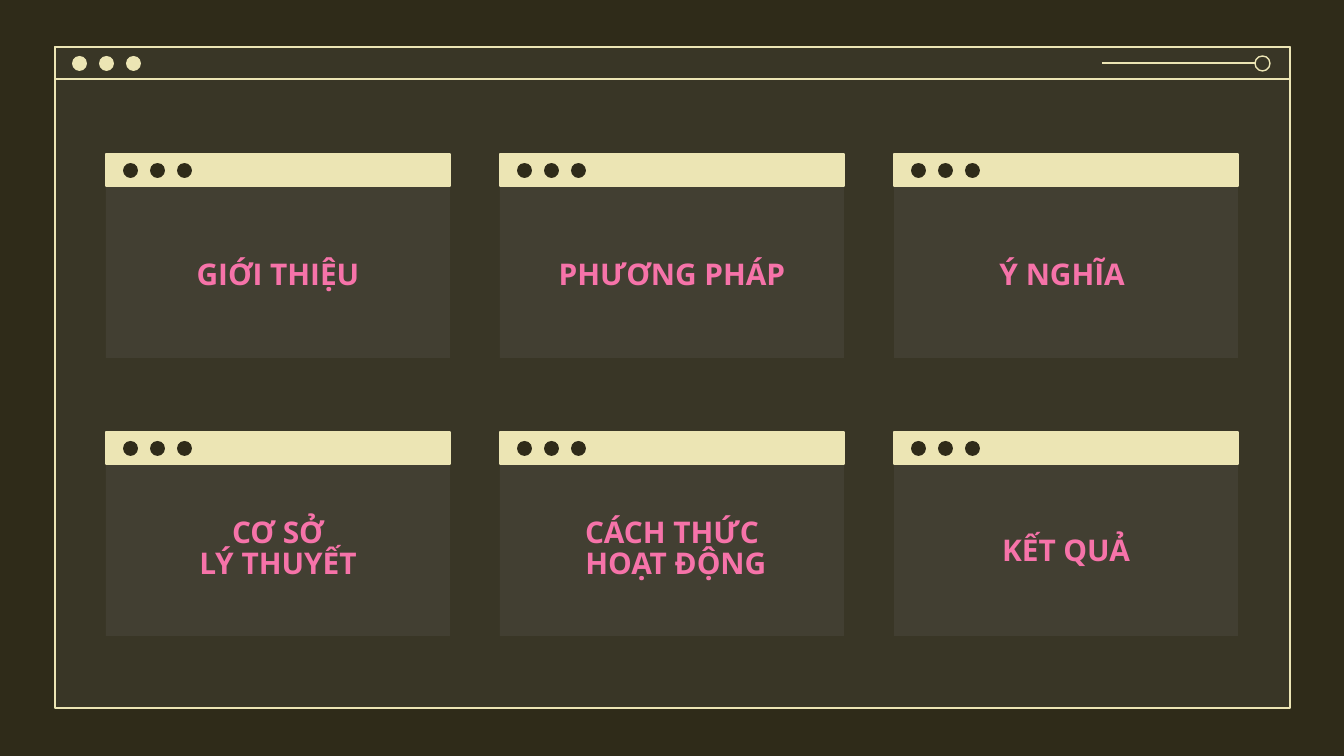
from dataclasses import dataclass

from lxml.etree import SubElement
from pptx import Presentation
from pptx.dml.color import RGBColor
from pptx.enum.shapes import MSO_CONNECTOR, MSO_SHAPE
from pptx.enum.text import MSO_ANCHOR, PP_ALIGN
from pptx.oxml.ns import qn
from pptx.util import Inches, Pt

EMU_PER_PX = 914400 / 134.4
DARK, CREAM, GRAY, PINK = "2F2B19", "ECE5B4", "7C7C7C", "F673A9"
BAR_H, DOT, DOT_STEP = 32, 15, 27
CARD_W, CARD_H = 344, 204
TITLE_H = 78


@dataclass
class Window:
    x: int
    y: int
    w: int
    h: int
    bar: str | None
    dots: str
    outlined: bool = False


@dataclass
class Card:
    title: str
    col: int
    row: int


CARDS = [
    Card("GIỚI THIỆU", 0, 0),
    Card("PHƯƠNG PHÁP", 1, 0),
    Card("Ý NGHĨA ", 2, 0),
    Card("CƠ SỞ\nLÝ THUYẾT", 0, 1),
    Card("CÁCH THỨC\n HOẠT ĐỘNG", 1, 1),
    Card("KẾT QUẢ", 2, 1),
]


def px(n: int) -> int:
    return round(n * EMU_PER_PX)


def rgb(color: str) -> RGBColor:
    return RGBColor.from_string(color)


def add_box(s, kind, x: int, y: int, w: int, h: int, *, fill: str | None = None,
            line: str | None = None, alpha: int = 100):
    sp = s.shapes.add_shape(kind, px(x), px(y), px(w), px(h))
    sp.shadow.inherit = False
    if fill:
        sp.fill.solid()
        sp.fill.fore_color.rgb = rgb(fill)
        if alpha < 100:
            clr = sp.fill._xPr.find(qn("a:solidFill"))[0]
            SubElement(clr, qn("a:alpha")).set("val", str(alpha * 1000))
    else:
        sp.fill.background()
    if line:
        sp.line.color.rgb = rgb(line)
        sp.line.width = Pt(0.75)
    else:
        sp.line.fill.background()
    return sp


def add_window(s, win: Window) -> None:
    rect = MSO_SHAPE.RECTANGLE
    add_box(s, rect, win.x, win.y, win.w, win.h, fill=GRAY, alpha=14)
    if win.outlined:
        add_box(s, rect, win.x, win.y, win.w, win.h, line=CREAM)
    add_box(s, rect, win.x, win.y, win.w, BAR_H, fill=win.bar, line=CREAM)
    for i in range(3):
        add_box(s, MSO_SHAPE.OVAL, win.x + 17 + i * DOT_STEP, win.y + 9, DOT, DOT, fill=win.dots)


def add_slider(s, x1: int, x2: int, y: int) -> None:
    add_box(s, MSO_SHAPE.OVAL, x2, y - DOT // 2, DOT, DOT, line=CREAM)
    cn = s.shapes.add_connector(MSO_CONNECTOR.STRAIGHT, px(x1), px(y), px(x2), px(y))
    cn.line.color.rgb = rgb(CREAM)
    cn.line.width = Pt(0.75)
    SubElement(cn._element.spPr, qn("a:effectLst"))


def add_text(s, text: str, x: int, y: int, w: int, h: int, *, size: int, color: str,
             font: str = "Open Sans", bold: bool = True, spacing: float = 1.0) -> None:
    tf = s.shapes.add_textbox(px(x), px(y), px(w), px(h)).text_frame
    tf.word_wrap = True
    tf.vertical_anchor = MSO_ANCHOR.MIDDLE
    tf.margin_left = tf.margin_right = tf.margin_top = tf.margin_bottom = Inches(0.1)
    p = tf.paragraphs[0]
    p.alignment = PP_ALIGN.CENTER
    p.line_spacing = spacing
    for i, part in enumerate(text.split("\n")):
        if i:
            p.add_line_break()
        r = p.add_run()
        r.text = part
        r.font.name = font
        r.font.size = Pt(size)
        r.font.bold = bold
        r.font.color.rgb = rgb(color)


def add_card(s, card: Card) -> None:
    x, y = 106 + card.col * 394, 154 + card.row * 278
    add_window(s, Window(x, y, CARD_W, CARD_H, CREAM, DARK))
    add_text(s, card.title, x, 235 + card.row * 276, CARD_W, TITLE_H, size=16, color=PINK,
             spacing=0.86 if "\n" in card.title else 1.0)


def main() -> None:
    prs = Presentation()
    prs.slide_width, prs.slide_height = px(1344), px(756)
    s = prs.slides.add_slide(prs.slide_layouts[6])
    s.background.fill.solid()
    s.background.fill.fore_color.rgb = rgb(DARK)
    add_window(s, Window(55, 47, 1235, 661, None, CREAM, outlined=True))
    add_slider(s, 1102, 1255, 63)
    for card in CARDS:
        add_card(s, card)
    prs.save("out.pptx")


if __name__ == "__main__":
    main()
